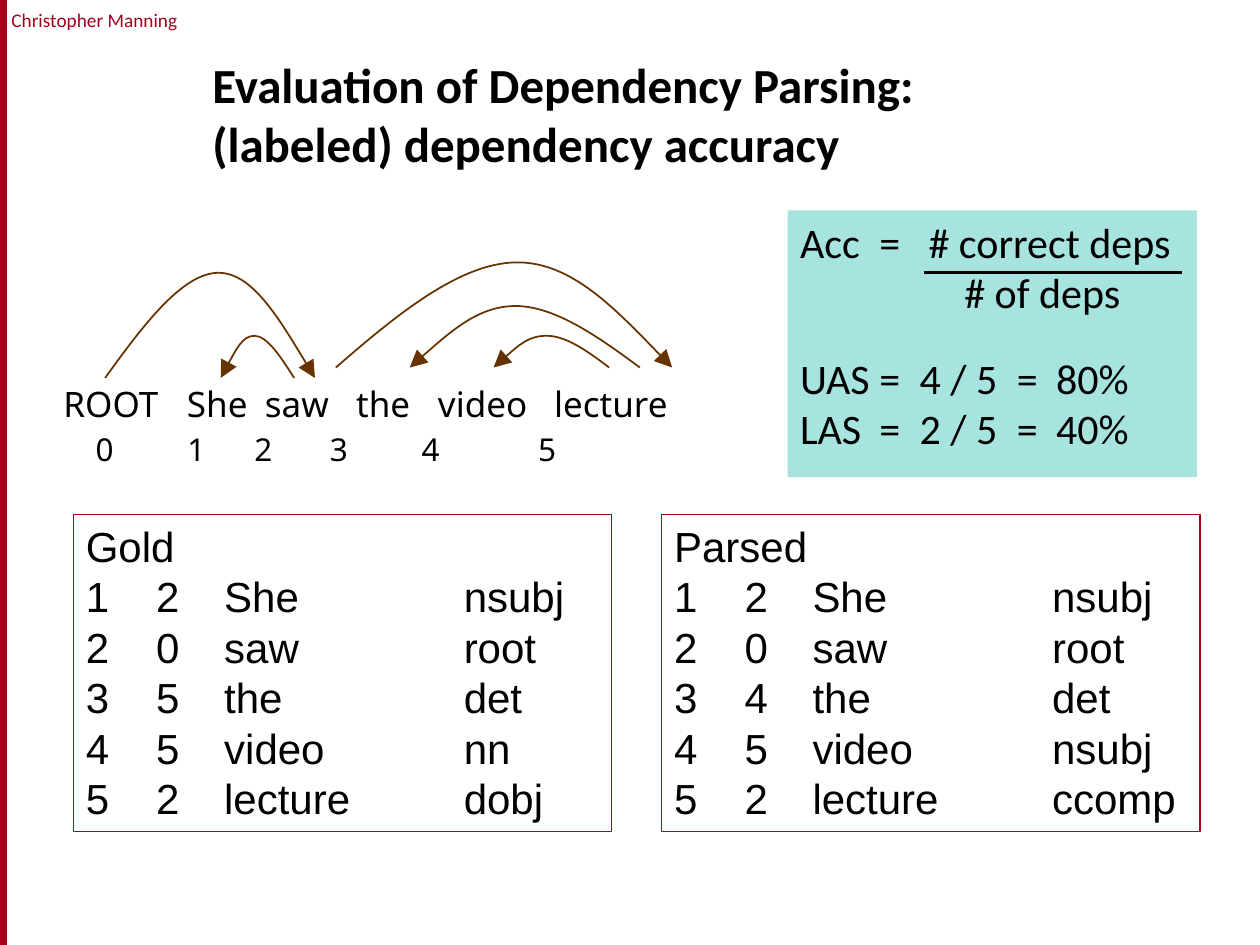
"""Slide on the accuracy of dependency parsing, with arcs and two parse lists."""
from lxml import etree
from pptx import Presentation
from pptx import util as u
from pptx.dml import color
from pptx.enum import shapes, text
from pptx.oxml import ns


def hue(code):
    return color.RGBColor.from_string(code)


def box(spot, rows, font, size, fill=None, edge=None, tabs=(), items=False, **form):
    item = slide.shapes.add_shape(shapes.MSO_SHAPE.RECTANGLE, *map(u.Cm, spot))
    item.shadow.inherit = False
    for part, code in ((item.fill, fill), (item.line.fill, edge)):
        if code:
            part.solid()
            part.fore_color.rgb = hue(code)
        else:
            part.background()
    if edge:
        item.line.width = u.Pt(0.75)
    frame = item.text_frame
    look = {"word_wrap": True, "vertical_anchor": text.MSO_ANCHOR.TOP, **form.get("frame", {})}
    for key, value in look.items():
        setattr(frame, key, value)
    for num, row in enumerate(rows):
        para = frame.paragraphs[0] if num == 0 else frame.add_paragraph()
        para.alignment = form.get("align", text.PP_ALIGN.LEFT)
        props = para._p.get_or_add_pPr()
        if items and num:
            props.set("marL", str(u.Cm(0.97)))
            props.set("indent", str(-u.Cm(0.97)))
            etree.SubElement(props, ns.qn("a:buAutoNum"), type="arabicPlain", startAt=str(num))
        stops = tabs[num] if num < len(tabs) else tabs[-1] if tabs else ()
        if stops:
            group = etree.SubElement(props, ns.qn("a:tabLst"))
            for stop in stops:
                etree.SubElement(group, ns.qn("a:tab"), pos=str(u.Cm(stop)), algn="l")
        run = para.add_run()
        run.text = row
        style = {"name": font, "size": u.Pt(size), "bold": form.get("bold", False)}
        for key, value in style.items():
            setattr(run.font, key, value)
        run.font.color.rgb = hue(form.get("ink", "000000"))
    return item


deck = Presentation()
deck.slide_width, deck.slide_height = u.Cm(25.4), u.Cm(19.05)
slide = deck.slides.add_slide(deck.slide_layouts[6])

box((0, 0, 0.14, 19.05), [], "Calibri", 11, fill="A4001D")
box((0.1, 0.04, 3.61, 0.74), ["Christopher Manning"], "Calibri", 11, ink="A4001D",
    align=text.PP_ALIGN.CENTER, frame={"margin_left": 0, "margin_right": 0})
box((4.03, 0.86, 20.52, 2.74),
    ["Evaluation of Dependency Parsing:", "(labeled) dependency accuracy"],
    "Calibri", 28, bold=True, frame={"vertical_anchor": text.MSO_ANCHOR.BOTTOM})

words = box((1.28, 7.58, 14.5, 2.2),
            ["ROOT\tShe\tsaw\tthe\tvideo\tlecture", "\t0\t1\t2\t3\t4\t5"], "Noto Sans", 20,
            tabs=[(2.49, 4.06, 5.9, 7.55, 9.89), (0.65, 2.5, 3.85, 5.37, 7.22, 9.57)],
            frame={"margin_left": 0})
marks = words.text_frame.paragraphs[1]
marks.space_before = u.Pt(3.6)
marks.runs[0].font.size = u.Pt(18)

gold = [(2, "She", "nsubj"), (0, "saw", "root"), (5, "the", "det"),
        (5, "video", "nn"), (2, "lecture", "dobj")]
guess = [(2, "She", "nsubj"), (0, "saw", "root"), (4, "the", "det"),
         (5, "video", "nsubj"), (2, "lecture", "ccomp")]
for left, name, deps in ((1.48, "Gold", gold), (13.34, "Parsed", guess)):
    rows = [name] + [f"\t{head}\t{word}\t{label}" for head, word, label in deps]
    box((left, 10.37, 10.85, 6.4), rows, "Arial", 24, edge="A4001D",
        tabs=[(), (1.42, 2.79, 7.62)], items=True)

box((15.88, 4.24, 8.25, 5.38), ["Acc\t=\t# correct deps", "\t# of deps"], "Calibri", 24,
    fill="A8E4DF", tabs=[(1.6, 2.59), (3.31,)])
box((15.88, 6.98, 7.2, 2.31), ["UAS\t=\t4 / 5\t=\t80%", "LAS\t=\t2 / 5\t=\t40%"],
    "Calibri", 24, tabs=[(1.6, 2.41, 4.37, 5.16)])

bar = slide.shapes.add_connector(shapes.MSO_CONNECTOR.STRAIGHT,
                                 u.Cm(18.62), u.Cm(5.5), u.Cm(23.83), u.Cm(5.5))
bar.line.color.rgb = hue("000000")
bar.line.width = u.Pt(1.75)
etree.SubElement(bar._element.spPr, ns.qn("a:effectLst"))

across = (0, 0.18, 0.37, 0.54, 0.7, 0.85, 1)
rise = (0, 0.5, 1, 1, 1, 0.5, 0)
arcs = [(12.9, 8.26, 7.41, 6.17), (2.12, 6.35, 7.62, 5.5), (5.93, 4.45, 7.62, 6.77),
        (6.77, 13.55, 7.41, 5.29), (12.28, 9.95, 7.41, 6.77)]
for start, end, base, top in arcs:
    dots = [(u.Cm(start + (end - start) * x), u.Cm(base + (top - base) * y))
            for x, y in zip(across, rise)]
    pen = slide.shapes.build_freeform(*dots[0])
    pen.add_line_segments(dots[1:], close=False)
    arc = pen.convert_to_shape()
    arc.shadow.inherit = False
    arc.fill.background()
    arc.line.color.rgb = hue("663300")
    arc.line.width = u.Pt(1)
    legs = list(arc._element.iter(ns.qn("a:lnTo")))
    for trio in (legs[:3], legs[3:]):
        curve = etree.SubElement(trio[0].getparent(), ns.qn("a:cubicBezTo"))
        for leg in trio:
            curve.append(leg[0])
            leg.getparent().remove(leg)
    etree.SubElement(arc.line._get_or_add_ln(), ns.qn("a:tailEnd"),
                     type="triangle", w="lg", len="lg")

deck.save("out.pptx")
